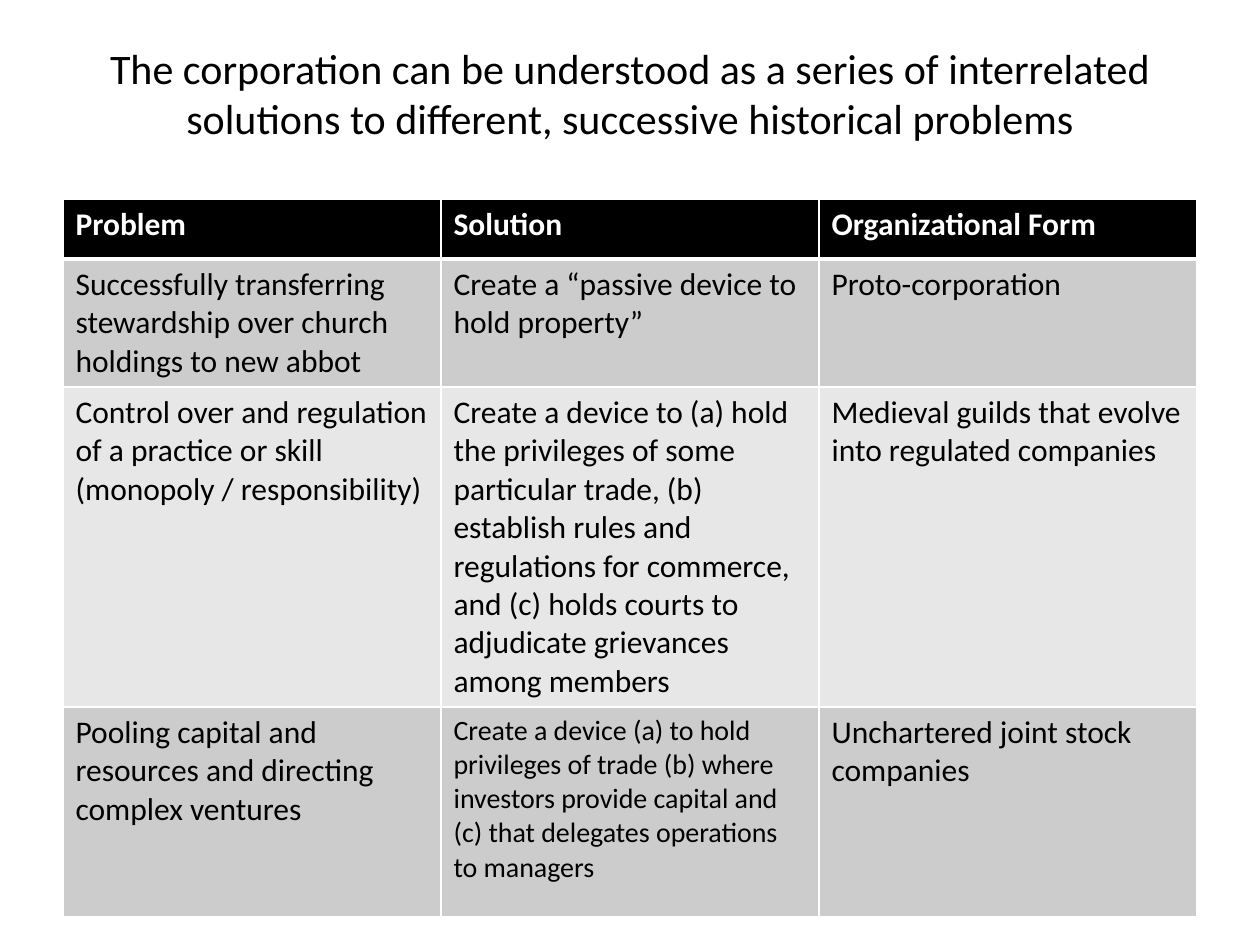
from lxml import etree
from pptx import Presentation
from pptx.dml.color import RGBColor
from pptx.enum import text
from pptx.oxml import ns
from pptx.util import Pt

HUES = {"ink": "000000", "paper": "FFFFFF", "dark": "CCCCCC", "light": "E7E7E7"}
TITLE = ("The corporation can be understood as a series of interrelated "
         "solutions to different, successive historical problems")
ROWS = [
    ("Problem", "Solution", "Organizational Form"),
    ("Successfully transferring stewardship over church holdings to new abbot",
     "Create a “passive device to hold property”",
     "Proto-corporation"),
    ("Control over and regulation of a practice or skill (monopoly / responsibility)",
     "Create a device to (a) hold the privileges of some particular trade, "
     "(b) establish rules and regulations for commerce, and (c) holds courts "
     "to adjudicate grievances among members",
     "Medieval guilds that evolve into regulated companies"),
    ("Pooling capital and resources and directing complex ventures",
     "Create a device (a) to hold privileges of trade (b) where investors "
     "provide capital and (c) that delegates operations to managers",
     "Unchartered joint stock companies"),
]
HEIGHTS = (34, 69, 174, 119.5)
SMALL = (3, 1)  # row and column of the cell in smaller type


def tint(name):
    return RGBColor.from_string(HUES[name])


def style(font, hue, **form):
    for key, value in {"name": "Calibri", "bold": False, **form}.items():
        setattr(font, key, value)
    font.color.rgb = tint(hue)


def place(shape, **box):
    for key, value in box.items():
        setattr(shape, key, Pt(value))


def edge(cell, **widths):
    """Draw cell borders; keys are L, R, T, B and widths are in points."""
    props = cell._tc.get_or_add_tcPr()
    for side, width in widths.items():
        line = etree.SubElement(props, ns.qn(f"a:ln{side}"), w=str(Pt(width)))
        fill = etree.SubElement(line, ns.qn("a:solidFill"))
        etree.SubElement(fill, ns.qn("a:srgbClr"), val=HUES["paper"])


def add_title(slide):
    title = slide.shapes.title
    place(title, left=36, top=21.6, width=648, height=62.6)
    frame = title.text_frame
    frame.text = TITLE
    frame.vertical_anchor = text.MSO_ANCHOR.MIDDLE
    para = frame.paragraphs[0]
    para.alignment = text.PP_ALIGN.CENTER
    style(para.runs[0].font, "ink", size=Pt(24))


def add_cell(cell, words, row, col):
    head = row == 0
    edge(cell, L=1, R=1, T=3 if row == 1 else 1, B=3 if head else 1)
    cell.fill.solid()
    cell.fill.fore_color.rgb = tint("ink" if head else "dark" if row % 2 else "light")
    cell.text = words
    size = 16 if (row, col) == SMALL else 18
    style(cell.text_frame.paragraphs[0].runs[0].font,
          "paper" if head else "ink", size=Pt(size), bold=head)


def add_grid(slide):
    grid = slide.shapes.add_table(len(ROWS), len(ROWS[0]), Pt(36), Pt(114),
                                  Pt(648), Pt(sum(HEIGHTS))).table
    for row, (height, line) in enumerate(zip(HEIGHTS, ROWS)):
        grid.rows[row].height = Pt(height)
        for col, words in enumerate(line):
            add_cell(grid.cell(row, col), words, row, col)


def main():
    deck = Presentation()
    deck.slide_width, deck.slide_height = Pt(720), Pt(540)
    slide = deck.slides.add_slide(deck.slide_layouts[5])
    add_title(slide)
    add_grid(slide)
    deck.save("out.pptx")


if __name__ == "__main__":
    main()
